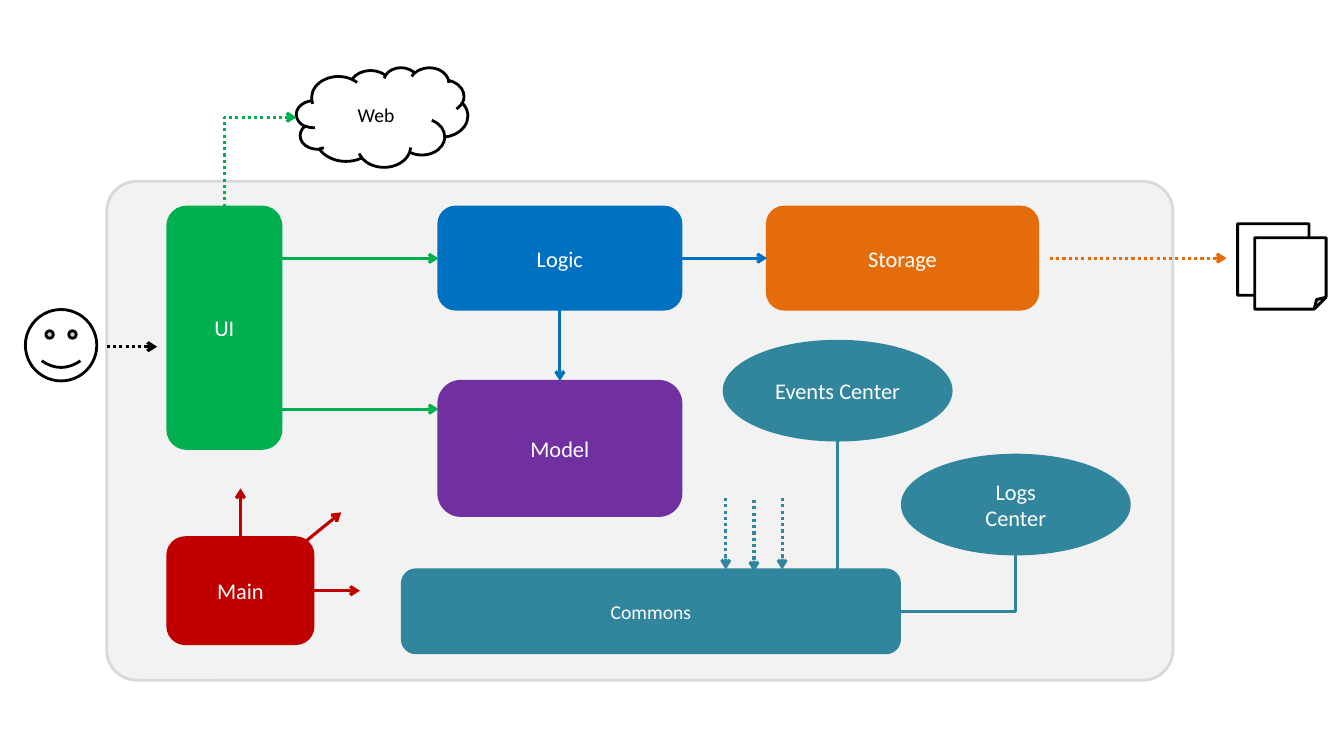
import dataclasses

import pptx
import pptx.dml.color
import pptx.enum.dml
import pptx.enum.shapes
import pptx.enum.text
import pptx.oxml
import pptx.oxml.ns
import pptx.util

Cm = pptx.util.Cm
SHAPE = pptx.enum.shapes.MSO_SHAPE
CONNECTOR = pptx.enum.shapes.MSO_CONNECTOR


@dataclasses.dataclass(frozen=True)
class Theme:
    font: str = "Calibri"
    label: int = 16
    small_label: int = 14
    edge: float = 1.5
    outline: float = 2
    arrow: float = 2.25
    white: str = "FFFFFF"
    black: str = "000000"
    panel: str = "F2F2F2"
    panel_line: str = "D9D9D9"
    ui: str = "00B050"
    logic: str = "0070C0"
    storage: str = "E46C0A"
    model: str = "7030A0"
    commons: str = "31859C"
    main: str = "C00000"


@dataclasses.dataclass(frozen=True)
class Box:
    """A rectangle in centimetres."""
    left: float
    top: float
    width: float
    height: float

    def inner(self, left, top, width, height):
        return Box(self.left + left, self.top + top, width, height)

    def at(self, across, down):
        """Point at the given fractions of the width and height."""
        return self.left + self.width * across, self.top + self.height * down


THEME = Theme()


def rgb(value):
    return pptx.dml.color.RGBColor.from_string(value)


def shift(point, across=0, down=0):
    return point[0] + across, point[1] + down


# Drawing helpers
def write_text(shape, text, size=THEME.label, color=THEME.white):
    frame = shape.text_frame
    frame.word_wrap = True
    frame.vertical_anchor = pptx.enum.text.MSO_ANCHOR.MIDDLE
    paragraph = frame.paragraphs[0]
    paragraph.text = text
    paragraph.alignment = pptx.enum.text.PP_ALIGN.CENTER
    for run in paragraph.runs:
        run.font.name = THEME.font
        run.font.size = pptx.util.Pt(size)
        run.font.color.rgb = rgb(color)


def add_block(slide, kind, box, fill, line=None, width=THEME.edge, text=None, **text_format):
    shape = slide.shapes.add_shape(
        kind, Cm(box.left), Cm(box.top), Cm(box.width), Cm(box.height))
    shape.shadow.inherit = False
    shape.fill.solid()
    shape.fill.fore_color.rgb = rgb(fill)
    shape.line.color.rgb = rgb(line or fill)
    shape.line.width = pptx.util.Pt(width)
    if text:
        write_text(shape, text, **text_format)
    return shape


def add_outlined(slide, kind, box, **text_options):
    return add_block(slide, kind, box, THEME.white, THEME.black, THEME.outline, **text_options)


def add_link(slide, start, end, color, dotted=False, head=True, kind=CONNECTOR.STRAIGHT):
    connector = slide.shapes.add_connector(kind, *(Cm(value) for value in (*start, *end)))
    connector.line.color.rgb = rgb(color)
    connector.line.width = pptx.util.Pt(THEME.arrow)
    if dotted:
        connector.line.dash_style = pptx.enum.dml.MSO_LINE.ROUND_DOT
    properties = connector._element.spPr
    if head:
        properties.find(pptx.oxml.ns.qn("a:ln")).append(pptx.oxml.parse_xml(
            f'<a:tailEnd {pptx.oxml.ns.nsdecls("a")} type="arrow"/>'))
    properties.append(
        pptx.oxml.parse_xml(f'<a:effectLst {pptx.oxml.ns.nsdecls("a")}/>'))
    return connector


def add_corner_link(slide, start, end, color, **options):
    """One-corner link that leaves vertically: an elbow turned by 90 degrees."""
    middle = (start[0] + end[0]) / 2, (start[1] + end[1]) / 2
    half_x, half_y = (end[0] - start[0]) / 2, (end[1] - start[1]) / 2
    connector = add_link(
        slide, shift(middle, -half_y, half_x), shift(middle, half_y, -half_x),
        color, kind=CONNECTOR.ELBOW, **options)
    properties = connector._element.spPr
    properties.find(pptx.oxml.ns.qn("a:xfrm")).set("rot", str(90 * 60000))
    properties.find(pptx.oxml.ns.qn("a:prstGeom")).set("prst", "bentConnector2")


# Application frame
def draw_panel(slide, box):
    panel = add_block(slide, SHAPE.ROUNDED_RECTANGLE, box, THEME.panel,
                      THEME.panel_line, THEME.outline)
    panel.adjustments[0] = 0.06


# UI, Logic, Storage and Model
def draw_components(slide, box):
    ui = box.inner(0, 0, 2.87, 6.1)
    logic = box.inner(6.83, 0, 6.12, 2.59)
    storage = box.inner(15.11, 0, 6.83, 2.59)
    model = box.inner(6.83, 4.39, 6.12, 3.4)
    blocks = {}
    for name, place, color in (("UI", ui, THEME.ui), ("Logic", logic, THEME.logic),
                               ("Storage", storage, THEME.storage),
                               ("Model", model, THEME.model)):
        blocks[name] = add_block(slide, SHAPE.ROUNDED_RECTANGLE, place, color, text=name)

    for down in (1.3, 5.1):
        add_link(slide, shift(ui.at(1, 0), down=down),
                 (logic.left, ui.top + down), THEME.ui)
    for target, start, end, sites in (
            ("Storage", logic.at(1, 0.5), storage.at(0, 0.5), (3, 1)),
            ("Model", logic.at(0.5, 1), model.at(0.5, 0), (2, 0))):
        connector = add_link(slide, start, end, THEME.logic)
        connector.begin_connect(blocks["Logic"], sites[0])
        connector.end_connect(blocks[target], sites[1])
    return ui, storage


# Main with its start-up arrows
def draw_main(slide, box):
    add_block(slide, SHAPE.ROUNDED_RECTANGLE, box, THEME.main, text="Main")
    for start, across, down in ((box.at(1, 0.5), 1.17, 0),
                                (box.at(0.81, 0.19), 1.4, -1.14),
                                (box.at(0.5, 0.07), 0, -1.42)):
        add_link(slide, start, shift(start, across, down), THEME.main)


# Commons with its two centers
def draw_commons(slide, box):
    commons = box.inner(0, 5.76, 12.55, 2.11)
    events = box.inner(8.11, 0, 5.74, 2.51)
    logs = box.inner(12.6, 2.87, 5.74, 2.51)
    add_block(slide, SHAPE.ROUNDED_RECTANGLE, commons, THEME.commons,
              text="Commons", size=THEME.small_label)
    for place, text in ((events, "Events Center"), (logs, "Logs\vCenter")):
        add_block(slide, SHAPE.OVAL, place, THEME.commons, text=text)

    for index, drop in enumerate((0, 0.05, 0)):
        end = shift(commons.at(0, 0), 8.16 + 0.71 * index, drop)
        add_link(slide, shift(end, down=-1.8), end, THEME.commons, dotted=True)
    foot = events.at(0.5, 1)
    add_link(slide, foot, (foot[0], commons.top + 0.05), THEME.commons, head=False)
    add_corner_link(slide, logs.at(0.5, 1), commons.at(1, 0.5), THEME.commons, head=False)


# User, web and files outside the application
def draw_user(slide, box):
    add_outlined(slide, SHAPE.SMILEY_FACE, box)
    start = shift(box.at(1, 0.52), across=0.25)
    add_link(slide, start, shift(start, across=1.27), THEME.black, dotted=True)


def draw_web(slide, box, ui):
    add_outlined(slide, SHAPE.CLOUD, box, text="Web",
                 size=THEME.small_label, color=THEME.black)
    add_corner_link(slide, ui.at(0.5, 0), box.at(0, 0.5), THEME.ui, dotted=True)


def draw_files(slide, box, storage):
    for left, top in ((0, 0), (0.43, 0.35)):
        add_outlined(slide, SHAPE.FOLDED_CORNER, box.inner(left, top, 1.8, 1.8))
    start = shift(storage.at(1, 0.5), across=0.3)
    add_link(slide, start, (box.left - 0.28, start[1]), THEME.storage, dotted=True)


def main():
    presentation = pptx.Presentation()
    presentation.slide_width, presentation.slide_height = Cm(33.87), Cm(19.05)
    slide = presentation.slides.add_slide(presentation.slide_layouts[6])
    panel = Box(2.69, 4.57, 26.87, 12.57)
    draw_panel(slide, panel)
    ui, storage = draw_components(slide, panel.inner(1.53, 0.64, 21.94, 7.79))
    draw_main(slide, panel.inner(1.53, 8.97, 3.68, 2.69))
    draw_commons(slide, panel.inner(7.44, 4.02, 18.34, 7.87))
    draw_user(slide, Box(0.64, 7.8, 1.8, 1.8))
    draw_web(slide, Box(7.47, 1.7, 4.32, 2.51), ui)
    draw_files(slide, Box(31.19, 5.64, 2.23, 2.15), storage)
    presentation.save("out.pptx")


main()
